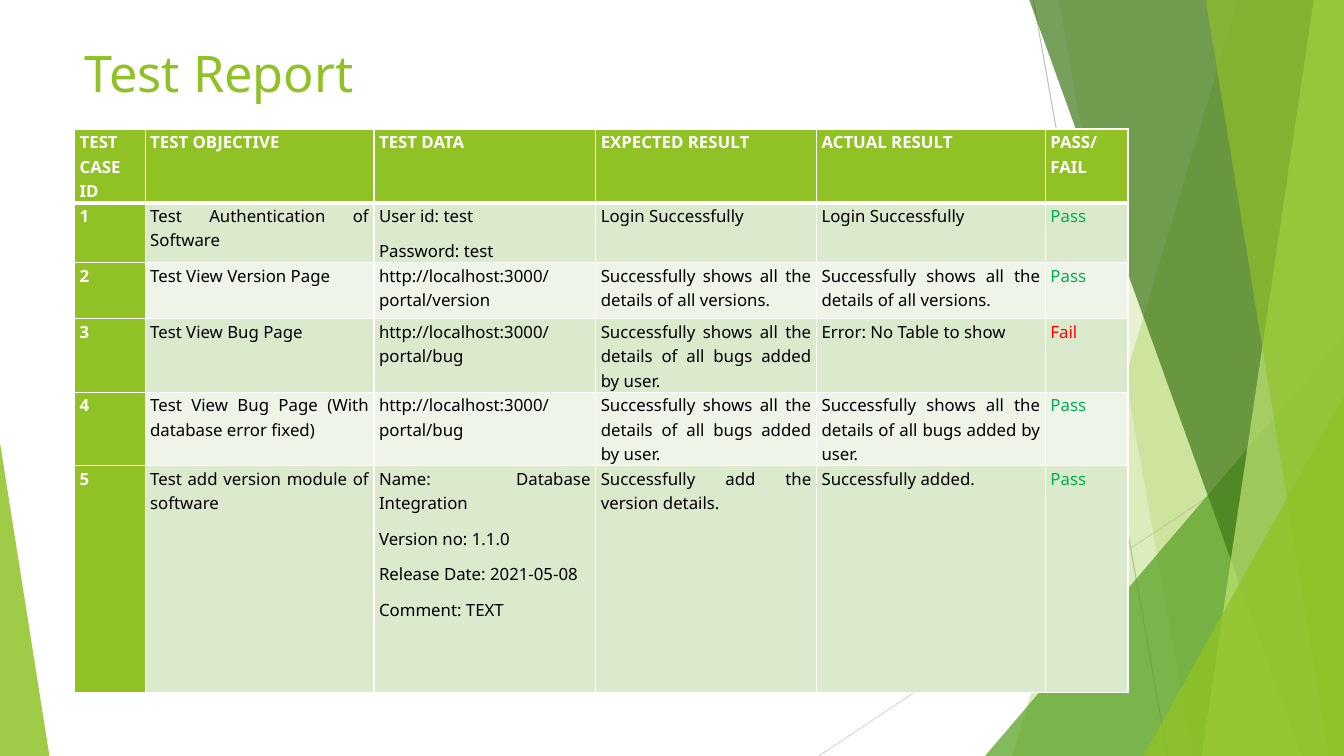
"""Build the Test Report slide: a table of test cases over green facets."""
from dataclasses import dataclass

from lxml.etree import SubElement
from pptx import Presentation
from pptx.dml.color import RGBColor as RGB
from pptx.enum.shapes import MSO_CONNECTOR as LINE, MSO_SHAPE as SHAPE
from pptx.enum.text import MSO_ANCHOR as ANCHOR, MSO_AUTO_SIZE as FIT, PP_ALIGN as ALIGN
from pptx.oxml import parse_xml
from pptx.oxml.ns import nsdecls, qn
from pptx.util import Inches, Pt


@dataclass(frozen=True)
class Theme:
    font: str = "Noto Sans"
    title_size: int = 36
    cell_size: int = 12
    lime: str = "90C226"
    green: str = "54A021"
    forest: str = "3F7819"
    pale: str = "C0E474"
    white: str = "FFFFFF"
    black: str = "000000"
    odd_row: str = "DBE9CD"
    even_row: str = "EEF4E8"
    passed: str = "00B050"
    failed: str = "FF0000"
    steep_ray: str = "BFBFBF"
    shallow_ray: str = "D9D9D9"


def paint_facet(facet, color, opacity):
    facet.shadow.inherit = False
    facet.line.fill.background()
    facet.fill.solid()
    facet.fill.fore_color.rgb = RGB.from_string(color)
    tint = facet.fill._xPr.find(qn("a:solidFill"))[0]
    SubElement(tint, qn("a:alpha")).set("val", str(opacity * 1000))


def format_text(paragraph, size, color, bold=False):
    for run in paragraph.runs:
        run.font.name = theme.font
        run.font.size = Pt(size)
        run.font.bold = bold
        run.font.color.rgb = RGB.from_string(color)


theme = Theme()
deck = Presentation()
deck.slide_width, deck.slide_height = Inches(13.33), Inches(7.5)
column, row = deck.slide_width / 100, deck.slide_height / 100
slide = deck.slides.add_slide(deck.slide_layouts[5])
shapes = slide.shapes

rays = [
    (76.89, 0, 86.87, 100, theme.steep_ray),
    (100, 53.73, 60.92, 100, theme.shallow_ray),
]
for x1, y1, x2, y2, color in rays:
    ray = shapes.add_connector(LINE.STRAIGHT, int(x1 * column), int(y1 * row),
                               int(x2 * column), int(y2 * row))
    ray.line.color.rgb = RGB.from_string(color)
    ray.line.width = Pt(0.75)
    SubElement(ray.element.spPr, qn("a:effectLst"))

facets = [
    ("band", 92.12, 75.32, theme.lime, 30),
    ("band", 78.77, 88.75, theme.lime, 20),
    ("corner", 73.29, 44.4, theme.green, 72),
    ("band", 76.59, 96.85, theme.forest, 70),
    ("band", 97.75, 89.42, theme.pale, 70),
    ("band", 89.72, 98.87, theme.lime, 65),
    ("corner", 85.07, 52.4, theme.lime, 80),
]
for kind, first, second, color, opacity in facets:
    if kind == "band":
        outline = shapes.build_freeform(int(first * column), 0)
        outline.add_line_segments([(deck.slide_width, 0),
                                   (deck.slide_width, deck.slide_height),
                                   (int(second * column), deck.slide_height)])
        facet = outline.convert_to_shape()
    else:
        facet = shapes.add_shape(SHAPE.ISOSCELES_TRIANGLE, int(first * column), int(second * row),
                                 int((100 - first) * column), int((100 - second) * row))
        facet.adjustments[0] = 1
    paint_facet(facet, color, opacity)

left_wedge = shapes.add_shape(SHAPE.ISOSCELES_TRIANGLE, 0, int(58.53 * row),
                              int(3.68 * column), int(41.47 * row))
left_wedge.adjustments[0] = 0
paint_facet(left_wedge, theme.lime, 85)

heading = shapes.title
heading.element.getparent().append(heading.element)
heading.left, heading.top = int(5.55 * column), int(4.93 * row)
heading.width, heading.height = int(70.5 * column), int(14 * row)
heading.text_frame.text = "Test Report"
heading.text_frame.auto_size = FIT.NONE
heading.text_frame.vertical_anchor = ANCHOR.TOP
heading.text_frame.paragraphs[0].alignment = ALIGN.LEFT
format_text(heading.text_frame.paragraphs[0], theme.title_size, theme.lime)

versions_shown = "Successfully shows all the details of all versions."
bugs_shown = "Successfully shows all the details of all bugs added by user."
bug_page = "http://localhost:3000/portal/bug"
report = [
    ("TEST CASE ID", "TEST OBJECTIVE", "TEST DATA", "EXPECTED RESULT", "ACTUAL RESULT",
     "PASS/FAIL"),
    ("1", "Test Authentication of Software", "User id: test\nPassword: test",
     "Login Successfully", "Login Successfully", "Pass"),
    ("2", "Test View Version Page", "http://localhost:3000/portal/version",
     versions_shown, versions_shown, "Pass"),
    ("3", "Test View Bug Page", bug_page, bugs_shown, "Error: No Table to show", "Fail"),
    ("4", "Test View Bug Page (With database error fixed)", bug_page,
     bugs_shown, bugs_shown, "Pass"),
    ("5", "Test add version module of software",
     "Name: Database Integration\nVersion no: 1.1.0\nRelease Date: 2021-05-08\nComment: TEXT",
     "Successfully add the version details.", "Successfully added.", "Pass"),
]
column_shares = [5.25, 17.03, 16.5, 16.43, 17.03, 6.15]
row_shares = [9.75, 7.85, 7.4, 9.7, 9.7, 30]
verdict_colors = {"Pass": theme.passed, "Fail": theme.failed}

cases = shapes.add_table(len(report), len(column_shares), int(5.55 * column), int(17.07 * row),
                         int(sum(column_shares) * column), int(sum(row_shares) * row)).table
for case_column, share in zip(cases.columns, column_shares):
    case_column.width = int(share * column)
for case_row, share in zip(cases.rows, row_shares):
    case_row.height = int(share * row)

for r, entries in enumerate(report):
    for c, entry in enumerate(entries):
        cell = cases.cell(r, c)
        is_label = r == 0 or c == 0
        band = theme.odd_row if r % 2 else theme.even_row
        cell.fill.solid()
        cell.fill.fore_color.rgb = RGB.from_string(theme.lime if is_label else band)
        cell.margin_left = cell.margin_right = Inches(0.05)
        cell.margin_top = cell.margin_bottom = 0
        cell.text_frame.text = entry
        color = theme.white if is_label else verdict_colors.get(entry, theme.black)
        for paragraph in cell.text_frame.paragraphs:
            paragraph.alignment = ALIGN.JUSTIFY
            paragraph.line_spacing = 1.07
            paragraph.space_after = Pt(8)
            format_text(paragraph, theme.cell_size, color, is_label)
        widths = {"L": 1, "R": 1, "T": 3 if r == 1 else 1, "B": 3 if r == 0 else 1}
        for place, (side, width) in enumerate(widths.items()):
            cell._tc.tcPr.insert(place, parse_xml(
                f'<a:ln{side} {nsdecls("a")} w="{Pt(width)}"><a:solidFill>'
                f'<a:srgbClr val="{theme.white}"/></a:solidFill></a:ln{side}>'))

deck.save("out.pptx")
